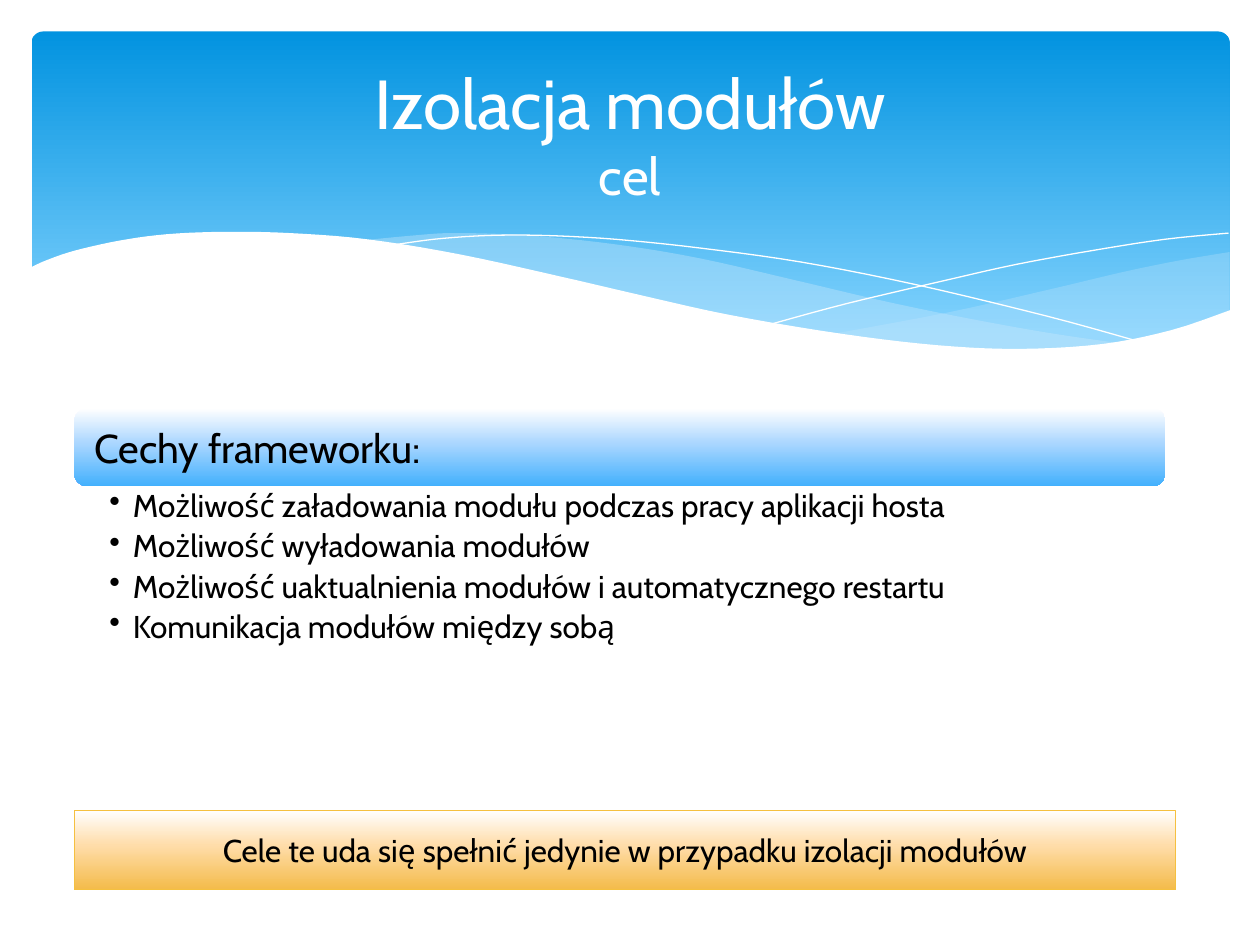
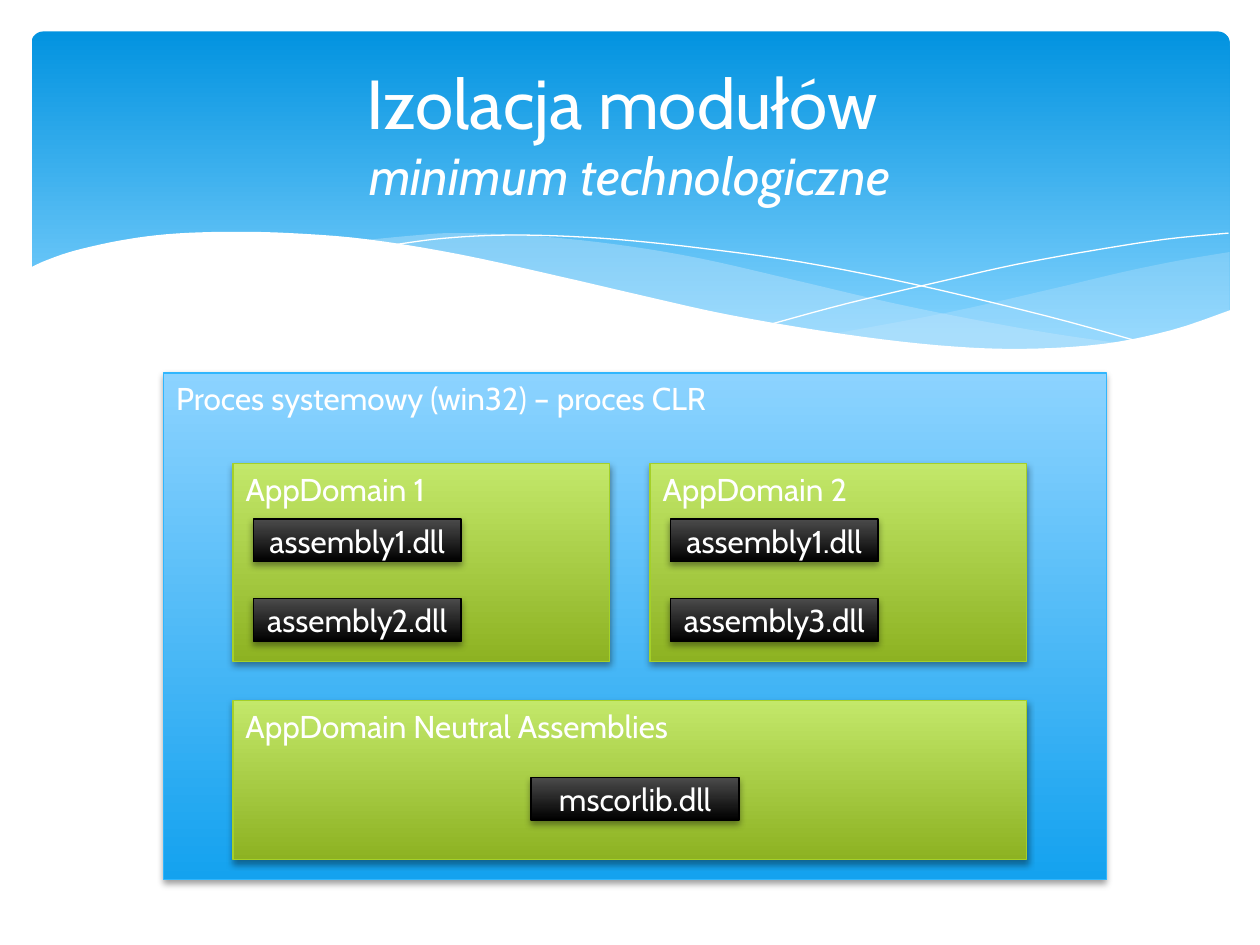
from dataclasses import dataclass

from lxml import etree
from pptx import Presentation
from pptx.dml.color import RGBColor
from pptx.enum.shapes import MSO_SHAPE
from pptx.enum.text import MSO_ANCHOR, PP_ALIGN
from pptx.oxml.ns import qn
from pptx.shapes.autoshape import Shape
from pptx.slide import Slide
from pptx.text.text import TextFrame
from pptx.util import Pt

RECT, ROUNDED = MSO_SHAPE.RECTANGLE, MSO_SHAPE.ROUNDED_RECTANGLE
TOP, MIDDLE = MSO_ANCHOR.TOP, MSO_ANCHOR.MIDDLE
LEFT, CENTER = PP_ALIGN.LEFT, PP_ALIGN.CENTER

FONT = "Cabin"
BODY_SIZE = 18
COLORS = {
    "white": "FFFFFF", "black": "000000", "wave": "C6E7FC",
    "banner_top": "0293E0", "banner_end": "83D3FE",
    "heading_mid": "ACD7FF", "heading_end": "42B0FD",
    "goal_mid": "FFDDAA", "goal_end": "F4BB4A", "goal_edge": "F5C040",
    "process_top": "8CD3FF", "process_end": "14A2EF", "process_edge": "31B6FD",
    "domain_top": "C3E86A", "domain_end": "8DB222", "domain_edge": "A5D028",
    "assembly_top": "4B4B4B",
}

Point = tuple[float, float]


@dataclass(frozen=True)
class Style:
    stops: tuple[tuple[int, str], ...]
    edge: str = ""
    ink: str = "white"
    size: float = BODY_SIZE
    anchor: MSO_ANCHOR = TOP
    align: PP_ALIGN = LEFT
    preset: MSO_SHAPE = RECT
    shadow: bool = False


@dataclass(frozen=True)
class Box:
    left: float
    top: float
    width: float
    height: float
    style: Style
    text: str = ""


@dataclass(frozen=True)
class Wave:
    anchors: tuple[tuple[Point, ...], ...]
    fill: str = ""
    opacity: int = 100


BANNER = Style(((0, "banner_top"), (90, "banner_end")), preset=ROUNDED)
HEADING = Style(((0, "white"), (44, "heading_mid"), (100, "heading_end")),
                ink="black", size=23, anchor=MIDDLE, preset=ROUNDED)
GOAL = Style(((0, "white"), (44, "goal_mid"), (100, "goal_end")), "goal_edge",
             ink="black", anchor=MIDDLE, align=CENTER)
PROCESS = Style(((0, "process_top"), (100, "process_end")), "process_edge", shadow=True)
DOMAIN = Style(((0, "domain_top"), (100, "domain_end")), "domain_edge", shadow=True)
ASSEMBLY = Style(((0, "assembly_top"), (100, "black")), "black",
                 anchor=MIDDLE, align=CENTER, shadow=True)

WAVES = (
    Wave((
        ((702.7, 144), (673, 149), (641.5, 155.5), (599, 165.6), (542, 178.5), (476, 190.8)),
        ((476, 190.8), (507.6, 195.1), (545, 198.7), (586, 200.2), (627.8, 197.3),
         (663, 190.8), (683.3, 185), (702.7, 177.8)),
    ), "wave", 29),
    Wave((
        ((206, 137.5), (236.2, 134.6), (260, 133.2), (302.4, 134.6), (352, 139.7),
         (399.6, 147.6), (452.9, 159.8), (508.3, 172.8), (558, 182.9), (602.6, 190.8),
         (643, 196.6)),
        ((643, 196.6), (617, 199.4), (581, 200.2), (538.6, 198.7), (489.6, 193),
         (432.7, 183.6), (381.6, 172.8), (323.3, 159.8), (275.8, 149), (232.6, 141.1),
         (206, 137.5)),
    ), "wave", 40),
    Wave((
        ((222.5, 140.4), (247.7, 136.8), (278.6, 134.6), (311.8, 134.6), (352, 136.8),
         (400.3, 141.8), (457.9, 149.8), (523.4, 162.7), (598.3, 180.7), (653, 195.8)),
    )),
    Wave((
        ((441.4, 185), (483.8, 173.5), (538.6, 160.6), (580.3, 151.2), (623.5, 143.3),
         (665.3, 136.8), (702, 133.2)),
    )),
    Wave((
        ((703.4, 177.1), (669.6, 188.6), (630, 196.6), (582.5, 199.4), (535.7, 197.3),
         (481, 190.8), (416.9, 180), (362.2, 167.8), (321.8, 158.4), (262.8, 145.4),
         (210.2, 136.8), (165.6, 133.2), (127.4, 132.5), (95, 133.9), (68.4, 137.5),
         (42.5, 143.3), (25.9, 149), (16.6, 153.4)),
        ((16.6, 236.9), (703.4, 236.9)),
    ), "white"),
)

FEATURES = (
    "Możliwość załadowania modułu podczas pracy aplikacji hosta",
    "Możliwość wyładowania modułów",
    "Możliwość uaktualnienia modułów i automatycznego restartu",
    "Komunikacja modułów między sobą",
)
DOMAINS = (
    ("AppDomain 1", ("assembly1.dll", "assembly2.dll")),
    ("AppDomain 2", ("assembly1.dll", "assembly3.dll")),
)


def rgb(color: str) -> RGBColor:
    return RGBColor.from_string(COLORS[color])


def add_color(parent: etree._Element, color: str, opacity: int = 100) -> None:
    node = etree.SubElement(parent, qn("a:srgbClr"), val=COLORS[color])
    if opacity < 100:
        etree.SubElement(node, qn("a:alpha"), val=str(opacity * 1000))


def fill_gradient(shape: Shape, stops: tuple[tuple[int, str], ...]) -> None:
    shape.fill.gradient()
    shape.fill.gradient_angle = 270
    stop_list = shape.element.spPr.find(".//" + qn("a:gsLst"))
    stop_list.clear()
    for percent, color in stops:
        add_color(etree.SubElement(stop_list, qn("a:gs"), pos=str(percent * 1000)), color)


def add_shadow(shape: Shape) -> None:
    effects = shape.element.spPr.find(qn("a:effectLst"))
    shadow = etree.SubElement(effects, qn("a:outerShdw"), blurRad=str(Pt(4)),
                              dist=str(Pt(2)), dir="5400000", rotWithShape="0")
    add_color(shadow, "black", 38)


def format_text(frame: TextFrame, size: float, ink: str, align: PP_ALIGN) -> None:
    frame.word_wrap = True
    for paragraph in frame.paragraphs:
        paragraph.alignment = align
        for run in paragraph.runs:
            run.font.name = FONT
            run.font.size = Pt(size)
            run.font.color.rgb = rgb(ink)


def add_box(slide: Slide, box: Box) -> Shape:
    style = box.style
    shape = slide.shapes.add_shape(style.preset, Pt(box.left), Pt(box.top),
                                   Pt(box.width), Pt(box.height))
    shape.shadow.inherit = False
    fill_gradient(shape, style.stops)
    if style.edge:
        shape.line.color.rgb = rgb(style.edge)
        shape.line.width = Pt(0.75)
    else:
        shape.line.fill.background()
    if style.shadow:
        add_shadow(shape)
    if box.text:
        shape.text_frame.text = box.text
        shape.text_frame.vertical_anchor = style.anchor
        format_text(shape.text_frame, style.size, style.ink, style.align)
    return shape


def smooth(anchors: tuple[Point, ...], steps: int = 5) -> list[Point]:
    if len(anchors) < 3:
        return list(anchors)
    padded = (anchors[0], *anchors, anchors[-1])
    curve = [anchors[0]]
    for a, b, c, d in zip(padded, padded[1:], padded[2:], padded[3:]):
        for step in range(1, steps + 1):
            t = step / steps
            curve.append(tuple(
                (2 * q + (r - p) * t + (2 * p - 5 * q + 4 * r - s) * t ** 2
                 + (3 * q - p - 3 * r + s) * t ** 3) / 2
                for p, q, r, s in zip(a, b, c, d)))
    return curve


def add_wave(slide: Slide, wave: Wave) -> None:
    outline = [(Pt(x), Pt(y)) for edge in wave.anchors for x, y in smooth(edge)]
    builder = slide.shapes.build_freeform(*outline[0])
    builder.add_line_segments(outline[1:], close=bool(wave.fill))
    shape = builder.convert_to_shape()
    shape.shadow.inherit = False
    if wave.fill:
        shape.fill.solid()
        shape.fill.fore_color.rgb = rgb(wave.fill)
        shape.line.fill.background()
        if wave.opacity < 100:
            color = shape.element.spPr.find(qn("a:solidFill"))[0]
            etree.SubElement(color, qn("a:alpha"), val=str(wave.opacity * 1000))
    else:
        shape.fill.background()
        shape.line.color.rgb = rgb("white")
        shape.line.width = Pt(0)


def add_titled_slide(deck: Presentation, title: str, subtitle: str, italic: bool) -> Slide:
    slide = deck.slides.add_slide(deck.slide_layouts[6])
    banner = add_box(slide, Box(18, 18, 684.7, 194.4, BANNER))
    banner.adjustments[0] = 0.034
    for wave in WAVES:
        add_wave(slide, wave)
    frame = slide.shapes.add_textbox(Pt(36), Pt(26.6), Pt(648), Pt(98.6)).text_frame
    frame.text = f"{title}\v{subtitle}"
    frame.vertical_anchor = MIDDLE
    format_text(frame, 39.6, "white", CENTER)
    subtitle_font = frame.paragraphs[0].runs[1].font
    subtitle_font.size = Pt(29.7)
    subtitle_font.italic = italic
    return slide


def add_features(slide: Slide) -> None:
    frame = slide.shapes.add_textbox(Pt(42.5), Pt(277.9), Pt(623.5), Pt(175.7)).text_frame
    frame.margin_left, frame.margin_right = Pt(20), Pt(13)
    frame.margin_top = frame.margin_bottom = Pt(2.2)
    frame.text = "\n".join(FEATURES)
    format_text(frame, BODY_SIZE, "black", LEFT)
    for paragraph in frame.paragraphs:
        paragraph.line_spacing = 0.9
        paragraph.space_after = Pt(3.6)
        properties = paragraph._p.get_or_add_pPr()
        properties.set("marL", str(Pt(13.5)))
        properties.set("indent", str(Pt(-13.5)))
        etree.SubElement(properties, qn("a:buChar"), char="•")


def build_goal_slide(deck: Presentation) -> None:
    slide = add_titled_slide(deck, "Izolacja modułów", "cel", False)
    heading = add_box(slide, Box(42.5, 233.3, 623.5, 44.6, HEADING, "Cechy frameworku:"))
    heading.text_frame.margin_left = Pt(9.4)
    add_features(slide)
    add_box(slide, Box(42.5, 463, 629.3, 45.4, GOAL,
                       "Cele te uda się spełnić jedynie w przypadku izolacji modułów"))


def build_technology_slide(deck: Presentation) -> None:
    slide = add_titled_slide(deck, "Izolacja modułów ", "minimum technologiczne", True)
    process = Box(93.6, 213.1, 538.6, 289.4, PROCESS, "Proces systemowy (win32) – proces CLR")
    add_box(slide, process)
    domain_left, domain_pitch = 133.2, 238.3
    assembly_width, assembly_height = 118.8, 24.5
    for column, (domain, assemblies) in enumerate(DOMAINS):
        left = domain_left + column * domain_pitch
        add_box(slide, Box(left, 265, 215.3, 113, DOMAIN, domain))
        for row, assembly in enumerate(assemblies):
            add_box(slide, Box(left + 11.5, 296.6 + row * 45.4,
                               assembly_width, assembly_height, ASSEMBLY, assembly))
    add_box(slide, Box(domain_left, 400.3, 453.6, 90.7, DOMAIN, "AppDomain Neutral Assemblies"))
    add_box(slide, Box(process.left + (process.width - assembly_width) / 2, 444.2,
                       assembly_width, assembly_height, ASSEMBLY, "mscorlib.dll"))


def main() -> None:
    deck = Presentation()
    deck.slide_width, deck.slide_height = Pt(720), Pt(540)
    build_goal_slide(deck)
    build_technology_slide(deck)
    deck.save("out.pptx")


if __name__ == "__main__":
    main()
